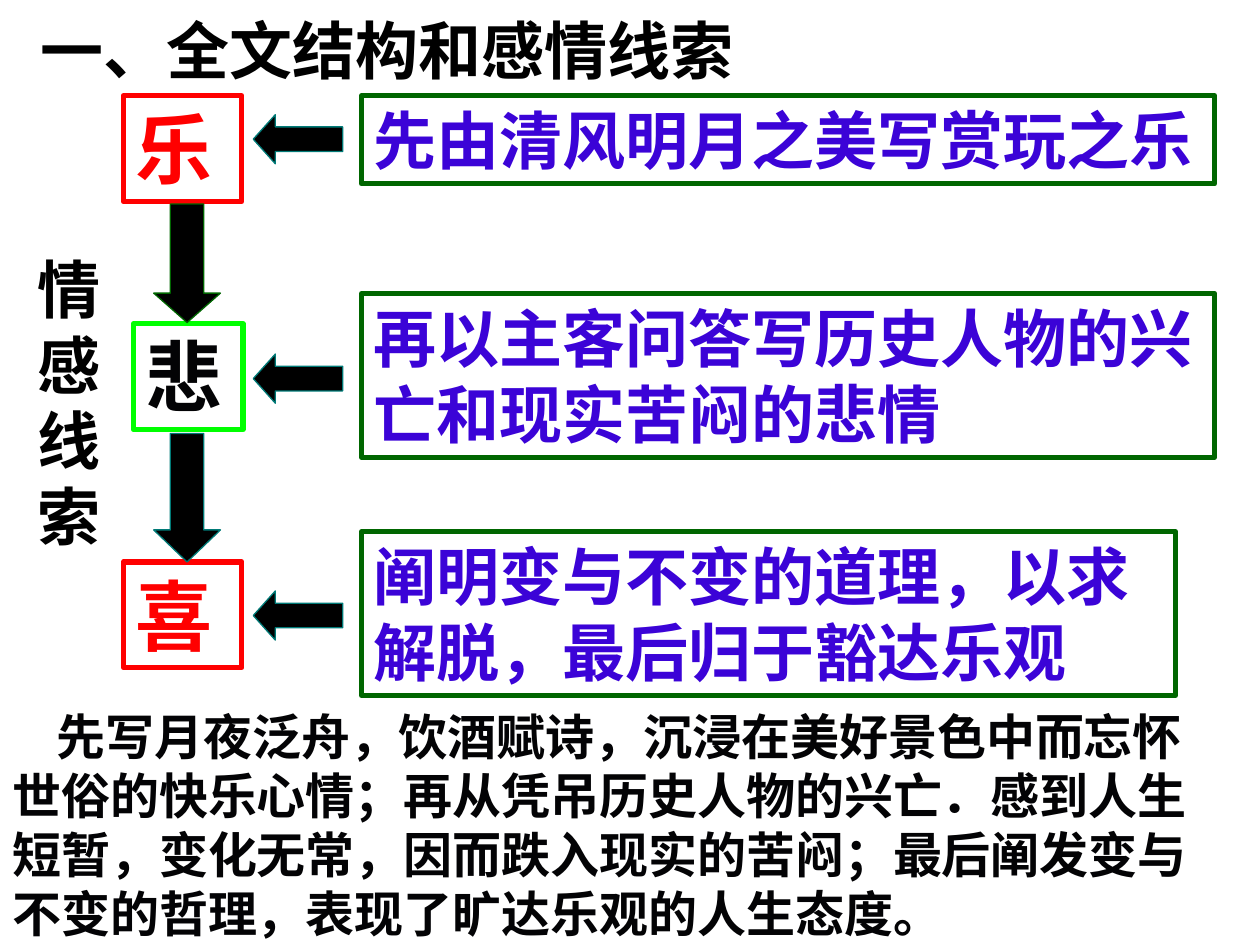
from pptx import Presentation
from pptx.dml.color import RGBColor
from pptx.enum.shapes import MSO_SHAPE
from pptx.enum.text import MSO_ANCHOR, MSO_AUTO_SIZE, PP_ALIGN
from pptx.oxml.ns import qn
from pptx.util import Inches, Pt
from lxml import etree


def color(value):
    return RGBColor.from_string(value)


class StructureSlide:
    BLACK = "000000"
    INK = "030305"
    RED = "FF0000"
    LIME = "00FF00"
    GREEN = "006600"
    TEAL = "007A77"
    VIOLET = "3B03D7"
    LATIN = "Arial"
    EAST_ASIAN = "Noto Sans CJK SC"

    def __init__(self, presentation):
        self.slide = presentation.slides.add_slide(presentation.slide_layouts[5])

    def set_text(self, shape, text, size, ink, latin=LATIN, align=PP_ALIGN.LEFT, anchor=MSO_ANCHOR.TOP):
        frame = shape.text_frame
        frame.text = text
        frame.word_wrap = True
        frame.auto_size = MSO_AUTO_SIZE.NONE
        frame.vertical_anchor = anchor
        paragraph = frame.paragraphs[0]
        paragraph.alignment = align
        for run in paragraph.runs:
            run.font.size = Pt(size)
            run.font.bold = True
            run.font.name = latin
            run.font.color.rgb = color(ink)
            east_asian = etree.SubElement(run.font._element, qn("a:ea"))
            east_asian.set("typeface", self.EAST_ASIAN)
        return paragraph

    def title(self, text, left, top, width, height):
        heading = self.slide.shapes.title
        heading.left, heading.top = Inches(left), Inches(top)
        heading.width, heading.height = Inches(width), Inches(height)
        self.set_text(heading, text, 36, self.BLACK, align=PP_ALIGN.CENTER, anchor=MSO_ANCHOR.MIDDLE)

    def text(self, text, left, top, width, height, size, ink, latin=LATIN, indent=0):
        box = self.slide.shapes.add_textbox(Inches(left), Inches(top), Inches(width), Inches(height))
        paragraph = self.set_text(box, text, size, ink, latin)
        if indent:
            paragraph._p.get_or_add_pPr().set("indent", str(Inches(indent)))

    def shape(self, preset, left, top, width, height, line, weight):
        shape = self.slide.shapes.add_shape(preset, Inches(left), Inches(top), Inches(width), Inches(height))
        shape.shadow.inherit = False
        shape.line.color.rgb = color(line)
        shape.line.width = Pt(weight)
        return shape

    def frame(self, text, left, top, width, height, size, ink, line):
        frame = self.shape(MSO_SHAPE.RECTANGLE, left, top, width, height, line, 3)
        frame.fill.background()
        self.set_text(frame, text, size, ink)

    def arrow(self, preset, left, top, width, height, head, line):
        arrow = self.shape(preset, left, top, width, height, line, 0.75)
        arrow.fill.solid()
        arrow.fill.fore_color.rgb = color(self.BLACK)
        arrow.adjustments[0] = 0.5
        arrow.adjustments[1] = head


def main():
    presentation = Presentation()
    presentation.slide_width = Inches(10)
    presentation.slide_height = Inches(7.5)
    page = StructureSlide(presentation)

    page.title("一、全文结构和感情线索", 0, 0, 6.14, 0.79)

    moods = [
        ("乐", 0.98, 0.76, 0.94, page.RED, page.RED),
        ("悲", 1.06, 2.57, 0.87, page.INK, page.LIME),
        ("喜", 0.98, 4.46, 0.94, page.RED, page.RED),
    ]
    for mood, left, top, width, ink, line in moods:
        page.frame(mood, left, top, width, 0.84, 44, ink, line)

    explanations = [
        ("先由清风明月之美写赏玩之乐", 0.76, 6.77, 0.7),
        ("再以主客问答写历史人物的兴亡和现实苦闷的悲情", 2.33, 6.77, 1.3),
        ("阐明变与不变的道理，以求解脱，最后归于豁达乐观", 4.22, 6.46, 1.3),
    ]
    for explanation, top, width, height in explanations:
        page.frame(explanation, 2.87, top, width, height, 36, page.VIOLET, page.GREEN)

    for top, height, head, line in [(1.62, 0.94, 0.44, page.GREEN), (3.44, 1.02, 0.48, page.TEAL)]:
        page.arrow(MSO_SHAPE.DOWN_ARROW, 1.22, top, 0.53, height, head, line)
    for top in (0.91, 2.81, 4.69):
        page.arrow(MSO_SHAPE.LEFT_ARROW, 2.01, top, 0.71, 0.39, 0.45, page.TEAL)

    page.text("情感线索", 0.2, 1.94, 0.59, 2.5, 36, page.BLACK, latin="Times New Roman")
    page.text(
        "先写月夜泛舟，饮酒赋诗，沉浸在美好景色中而忘怀世俗的快乐心情；"
        "再从凭吊历史人物的兴亡．感到人生短暂，变化无常，因而跌入现实的苦闷；"
        "最后阐发变与不变的哲理，表现了旷达乐观的人生态度。",
        0, 5.56, 9.73, 1.94, 28, page.INK, latin=page.EAST_ASIAN, indent=0.35,
    )

    presentation.save("out.pptx")


if __name__ == "__main__":
    main()
